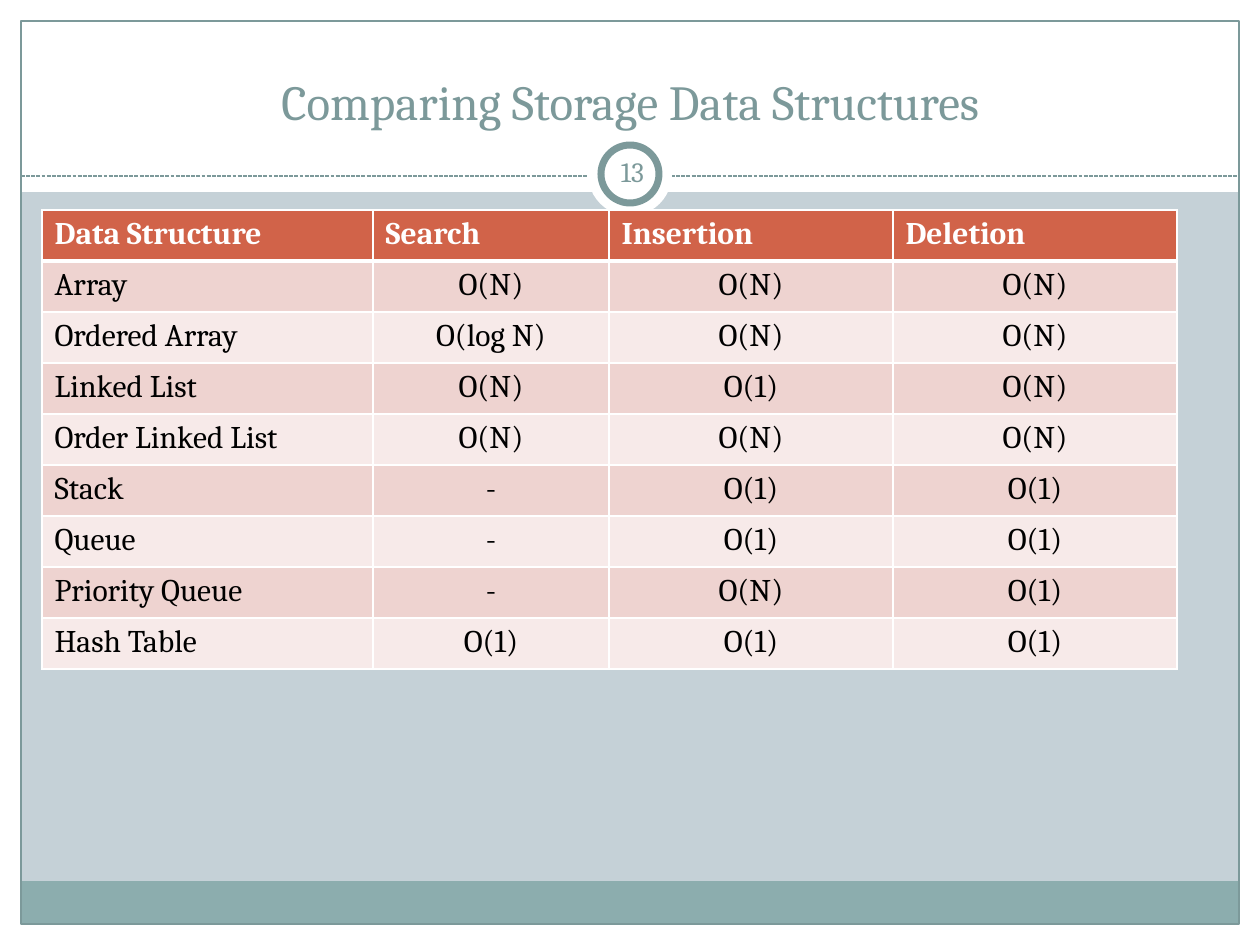
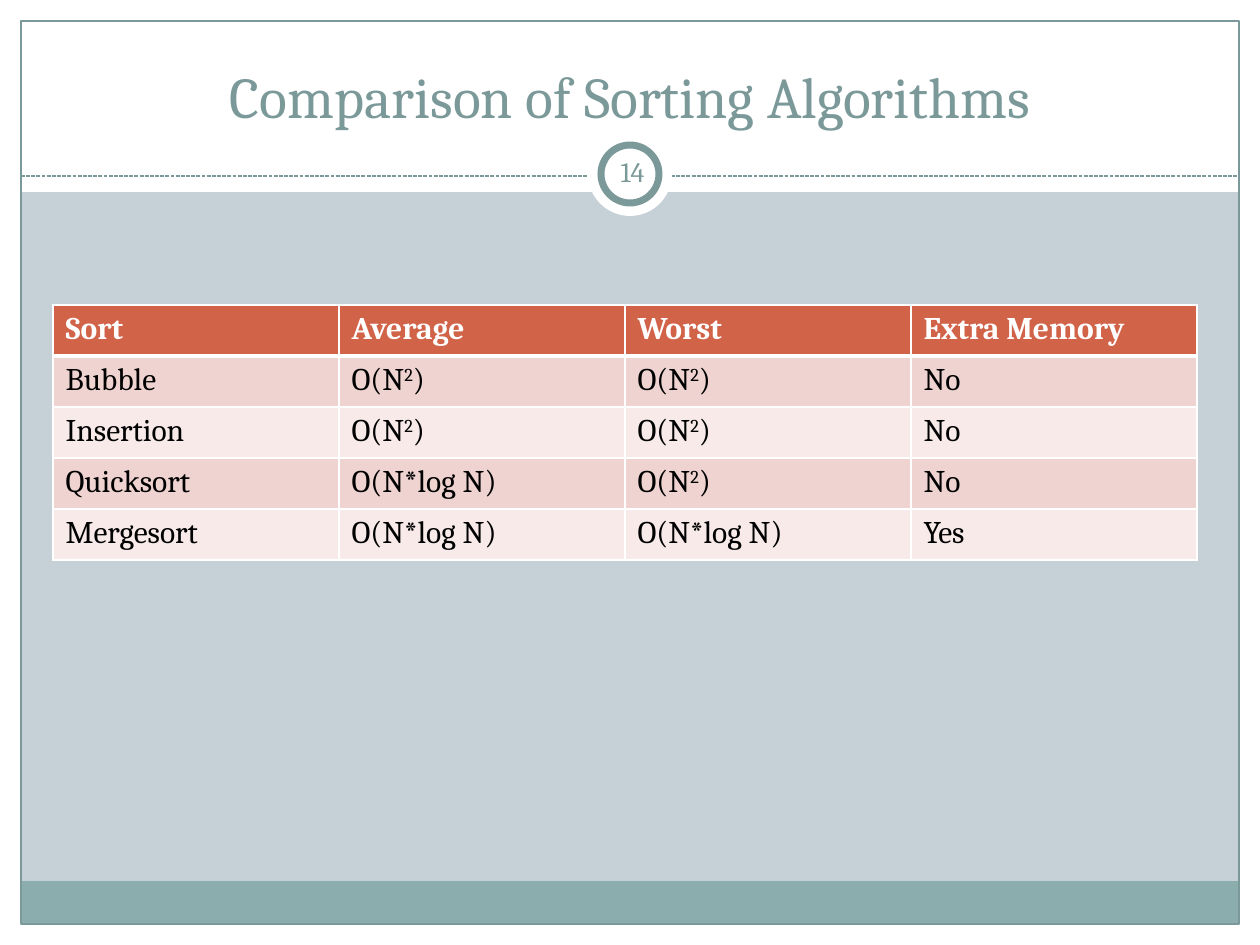
from pptx import Presentation
from pptx.dml.color import RGBColor
from pptx.enum.dml import MSO_LINE
from pptx.enum.shapes import MSO_CONNECTOR, MSO_SHAPE
from pptx.enum.text import MSO_ANCHOR, PP_ALIGN
from pptx.oxml.ns import qn
from pptx.util import Emu, Pt
from lxml.etree import SubElement

WIDTH, HEIGHT = 1260, 945
MARGIN = 21
HEADER_HEIGHT = 192
FOOTER_TOP, FOOTER_HEIGHT = 881, 43
RULE_Y = 176
ROW_HEIGHT = 51

WHITE, BLACK = "FFFFFF", "000000"
BACKDROP, ACCENT, FOOTER = "C5D1D7", "7C999A", "8CADAE"
TABLE_HEAD = "D16349"
BANDS = ("EED3D0", "F7EAE9")

STORAGE = (
    ("Data Structure", "Search", "Insertion", "Deletion"),
    ("Array", "O(N)", "O(N)", "O(N)"),
    ("Ordered Array", "O(log N)", "O(N)", "O(N)"),
    ("Linked List", "O(N)", "O(1)", "O(N)"),
    ("Order Linked List", "O(N)", "O(N)", "O(N)"),
    ("Stack", "-", "O(1)", "O(1)"),
    ("Queue", "-", "O(1)", "O(1)"),
    ("Priority Queue", "-", "O(N)", "O(1)"),
    ("Hash Table", "O(1)", "O(1)", "O(1)"),
)
SORTING = (
    ("Sort", "Average", "Worst", "Extra Memory"),
    ("Bubble", "O(N²)", "O(N²)", "No"),
    ("Insertion", "O(N²)", "O(N²)", "No"),
    ("Quicksort", "O(N*log N)", "O(N²)", "No"),
    ("Mergesort", "O(N*log N)", "O(N*log N)", "Yes"),
)


def px(length):
    return Emu(round(length * 914400 / 126))


def color(value):
    return RGBColor.from_string(value)


class Deck:
    font = "Cambria"

    def __init__(self):
        self.presentation = Presentation()
        self.presentation.slide_width = px(WIDTH)
        self.presentation.slide_height = px(HEIGHT)
        self.slide = None

    def add_slide(self, title, title_size, number):
        self.slide = self.presentation.slides.add_slide(self.presentation.slide_layouts[6])
        backdrop = self.slide.background.fill
        backdrop.solid()
        backdrop.fore_color.rgb = color(BACKDROP)

        inner_width = WIDTH - 2 * MARGIN
        bottom = HEIGHT - MARGIN
        self.shape(0, bottom, WIDTH, MARGIN, WHITE)
        self.shape(0, 0, WIDTH, HEADER_HEIGHT, WHITE)
        for side in (0, WIDTH - MARGIN):
            self.shape(side, 0, MARGIN, HEIGHT, WHITE)
        self.shape(MARGIN, FOOTER_TOP, inner_width, FOOTER_HEIGHT, FOOTER)
        self.shape(MARGIN, MARGIN, inner_width, HEIGHT - 2 * MARGIN, line_width=0.75)
        self.dashed_rule(MARGIN, WIDTH - MARGIN, RULE_Y)
        self.badge_circle(84)
        self.badge_circle(58, line_width=4)
        self.text(title, 42, 32, 1176, 104, title_size, MSO_ANCHOR.BOTTOM, 12)
        self.text(number, 601, 141, 63, 60, 16, MSO_ANCHOR.MIDDLE, 6)

    def shape(self, left, top, width, height, fill=None, line_width=None,
              kind=MSO_SHAPE.RECTANGLE):
        shape = self.slide.shapes.add_shape(kind, px(left), px(top), px(width), px(height))
        shape.shadow.inherit = False
        if fill:
            shape.fill.solid()
            shape.fill.fore_color.rgb = color(fill)
        else:
            shape.fill.background()
        if line_width:
            shape.line.color.rgb = color(ACCENT)
            shape.line.width = Pt(line_width)
        else:
            shape.line.fill.background()

    def badge_circle(self, diameter, line_width=None):
        self.shape((WIDTH - diameter) // 2, 174 - diameter // 2, diameter, diameter,
                   WHITE, line_width, MSO_SHAPE.OVAL)

    def dashed_rule(self, start, end, y):
        rule = self.slide.shapes.add_connector(
            MSO_CONNECTOR.STRAIGHT, px(start), px(y), px(end), px(y))
        rule.line.color.rgb = color(ACCENT)
        rule.line.width = Pt(0.75)
        rule.line.dash_style = MSO_LINE.SQUARE_DOT
        SubElement(rule._element.spPr, qn("a:effectLst"))

    def style(self, run, size, ink, bold=False):
        run.font.name = self.font
        run.font.size = Pt(size)
        run.font.bold = bold
        run.font.color.rgb = color(ink)

    def text(self, content, left, top, width, height, size, anchor, inset):
        frame = self.slide.shapes.add_textbox(
            px(left), px(top), px(width), px(height)).text_frame
        frame.word_wrap = True
        frame.vertical_anchor = anchor
        frame.margin_left = frame.margin_right = px(inset)
        frame.margin_top = frame.margin_bottom = px(6)
        frame.text = content
        paragraph = frame.paragraphs[0]
        paragraph.alignment = PP_ALIGN.CENTER
        self.style(paragraph.runs[0], size, ACCENT)

    def cell(self, cell, content, row, alignment):
        is_head = row == 0
        paragraph = cell.text_frame.paragraphs[0]
        paragraph.alignment = alignment
        base, square, rest = content.partition("²")
        paragraph.text = base
        if square:
            exponent = paragraph.add_run()
            exponent.text = "2"
            exponent._r.get_or_add_rPr().set("baseline", "30000")
            paragraph.add_run().text = rest
        for run in paragraph.runs:
            self.style(run, 18, WHITE if is_head else BLACK, is_head)
        self.borders(cell, top=3 if row == 1 else 1, bottom=3 if is_head else 1)
        cell.fill.solid()
        cell.fill.fore_color.rgb = color(TABLE_HEAD if is_head else BANDS[(row - 1) % 2])

    def borders(self, cell, top, bottom):
        properties = cell._tc.get_or_add_tcPr()
        for edge, width in (("L", 1), ("R", 1), ("T", top), ("B", bottom)):
            border = SubElement(properties, qn(f"a:ln{edge}"), w=str(Pt(width)))
            paint = SubElement(border, qn("a:solidFill"))
            SubElement(paint, qn("a:srgbClr"), val=WHITE)

    def table(self, rows, left, top, column_widths, value_alignment=PP_ALIGN.LEFT):
        table = self.slide.shapes.add_table(
            len(rows), len(column_widths), px(left), px(top),
            px(sum(column_widths)), px(ROW_HEIGHT * len(rows))).table
        table.horz_banding = False
        for column, width in zip(table.columns, column_widths):
            column.width = px(width)
        for r, contents in enumerate(rows):
            table.rows[r].height = px(ROW_HEIGHT)
            for c, content in enumerate(contents):
                alignment = value_alignment if r and c else PP_ALIGN.LEFT
                self.cell(table.cell(r, c), content, r, alignment)


def main():
    deck = Deck()
    deck.add_slide("Comparing Storage Data Structures", 28, "13")
    deck.table(STORAGE, 42, 210, (331, 236, 284, 284), PP_ALIGN.CENTER)
    deck.add_slide("Comparison of Sorting Algorithms", 33, "14")
    deck.table(SORTING, 53, 305, (286,) * 4)
    deck.presentation.save("out.pptx")


if __name__ == "__main__":
    main()
